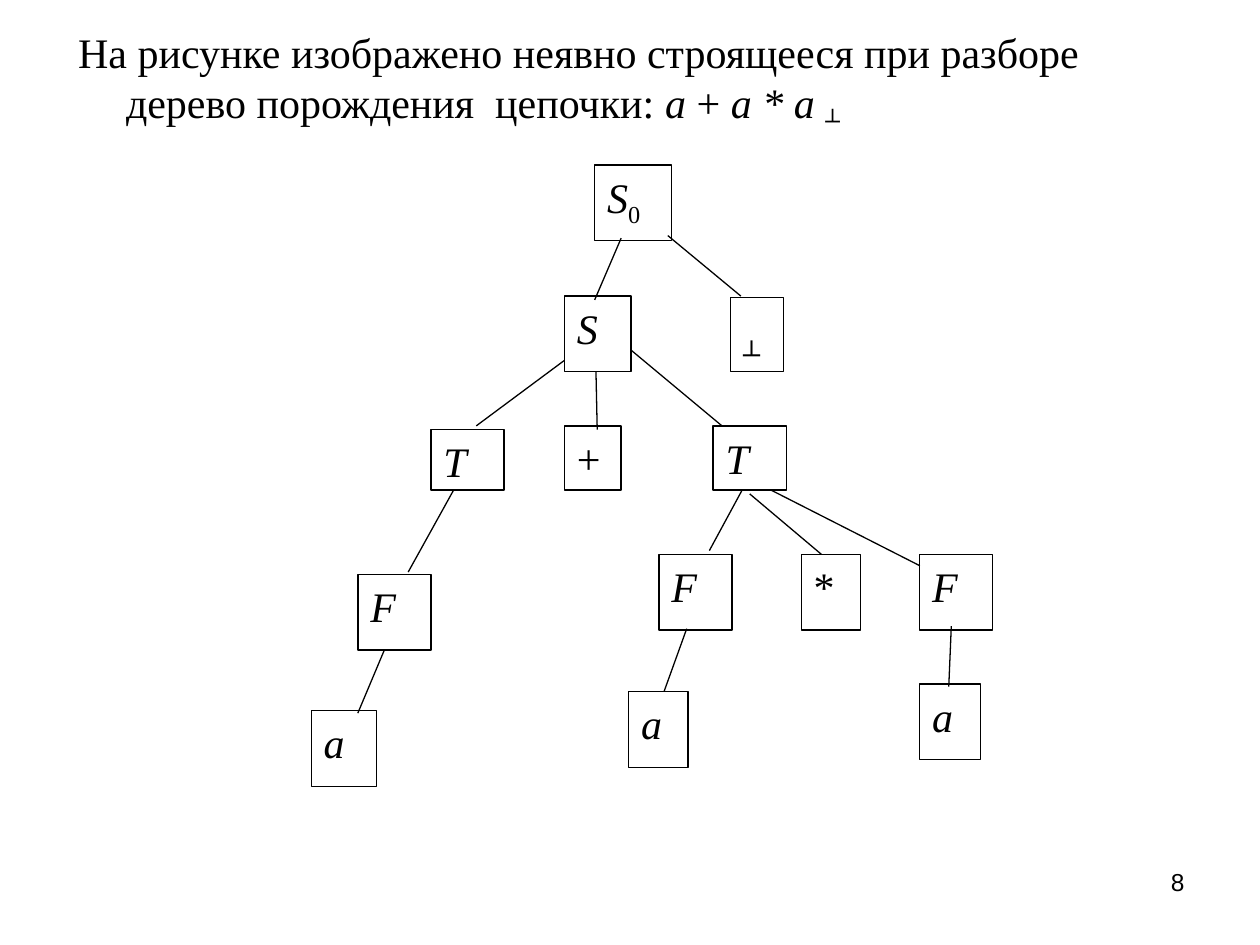
from lxml import etree
from pptx import Presentation
from pptx.dml.color import RGBColor
from pptx.enum.shapes import MSO_CONNECTOR, MSO_SHAPE
from pptx.enum.text import MSO_ANCHOR, PP_ALIGN
from pptx.oxml.ns import qn
from pptx.util import Inches, Pt

RECTANGLE = MSO_SHAPE.RECTANGLE
STRAIGHT = MSO_CONNECTOR.STRAIGHT
TOP = MSO_ANCHOR.TOP
LEFT, RIGHT = PP_ALIGN.LEFT, PP_ALIGN.RIGHT
SERIF, MONO, SANS = "Times New Roman", "Courier New", "Arial"
INK, PAPER = "000000", "FFFFFF"

deck = Presentation()
deck.slide_width, deck.slide_height = Inches(10), Inches(7.5)
page = deck.slides.add_slide(deck.slide_layouts[1])
page.shapes.title.element.getparent().remove(page.shapes.title.element)


def grid(*cells):
    """Lengths on a grid of 100 columns by 75 rows."""
    return [round(cell * deck.slide_width / 100) for cell in cells]


def add_span(para, text, size=24, font=SERIF, italic=False, bold=False, lowered=False):
    span = para.add_run()
    span.text = text
    span.font.size, span.font.name = Pt(size), font
    span.font.italic, span.font.bold = italic, bold
    span.font.color.rgb = RGBColor.from_string(INK)
    if lowered:
        span.font._element.set("baseline", "-25000")


# Statement with a hanging indent
body = page.placeholders[1]
body.left, body.top, body.width, body.height = grid(5.2, 1.6, 89.9, 70.5)
body.text_frame.vertical_anchor = TOP
para = body.text_frame.paragraphs[0]
properties = para._p.get_or_add_pPr()
properties.set("marL", str(Inches(0.38)))
properties.set("indent", str(-Inches(0.38)))
etree.SubElement(properties, qn("a:buNone"))
para.space_before = Pt(0)
add_span(para, "На рисунке изображено неявно строящееся при разборе "
               "дерево порождения  цепочки: ")
add_span(para, "a\u00a0", italic=True)
add_span(para, "+\u00a0")
add_span(para, "a * a ", italic=True)
add_span(para, "┴", font=MONO, bold=True, lowered=True)

# Tree nodes: symbol, left, top, width, height
nodes = [
    ("S0", 47.2, 13.1, 6.1, 6),
    ("S", 44.8, 23.5, 5.3, 6), ("┴", 58, 23.6, 4.2, 5.9),
    ("T", 34.2, 34.1, 5.8, 4.8), ("+", 44.8, 33.8, 4.5, 5.1), ("T", 56.6, 33.8, 5.8, 5.1),
    ("F", 28.4, 45.6, 5.8, 6), ("F", 52.3, 44, 5.8, 6),
    ("*", 63.6, 44, 4.7, 6), ("F", 73, 44, 5.8, 6),
    ("a", 24.7, 56.4, 5.2, 6), ("a", 49.9, 54.9, 4.7, 6), ("a", 73, 54.3, 4.8, 6),
]
for symbol, *place in nodes:
    node = page.shapes.add_shape(RECTANGLE, *grid(*place))
    node.shadow.inherit = False
    node.fill.solid()
    node.fill.fore_color.rgb = RGBColor.from_string(PAPER)
    node.line.color.rgb = RGBColor.from_string(INK)
    node.line.width = Pt(0.75)
    node.text_frame.word_wrap = True
    node.text_frame.vertical_anchor = TOP
    para = node.text_frame.paragraphs[0]
    para.alignment = LEFT
    if symbol == "┴":
        add_span(para, symbol, size=28, font=MONO, bold=True, lowered=True)
    else:
        add_span(para, symbol[0], italic=symbol[0].isalpha())
        if symbol[1:]:
            add_span(para, symbol[1:], lowered=True)

# Tree branches: from x, y to x, y
branches = [
    (49.3, 18.9, 47.2, 23.8), (53, 18.7, 58.8, 23.5),
    (44.8, 28.6, 37.8, 33.8), (47.3, 29.5, 47.4, 34.1), (50.1, 27.8, 57.3, 33.8),
    (36, 38.9, 32.4, 45.4), (58.9, 38.9, 56.3, 43.7),
    (59.5, 39.2, 65.2, 44), (61.2, 38.9, 73, 44.9),
    (30.5, 51.6, 28.4, 56.6), (54.5, 49.9, 52.7, 54.9), (75.5, 49.7, 75.3, 54.5),
]
for ends in branches:
    branch = page.shapes.add_connector(STRAIGHT, *grid(*ends))
    branch.line.color.rgb = RGBColor.from_string(INK)
    branch.line.width = Pt(0.75)
    etree.SubElement(branch._element.spPr, qn("a:effectLst"))

# Page number
box = page.shapes.add_textbox(*grid(71.7, 68.3, 23.3, 5.2))
box.text_frame.word_wrap = True
para = box.text_frame.paragraphs[0]
para.alignment = RIGHT
add_span(para, "8", size=14, font=SANS)

deck.save("out.pptx")
